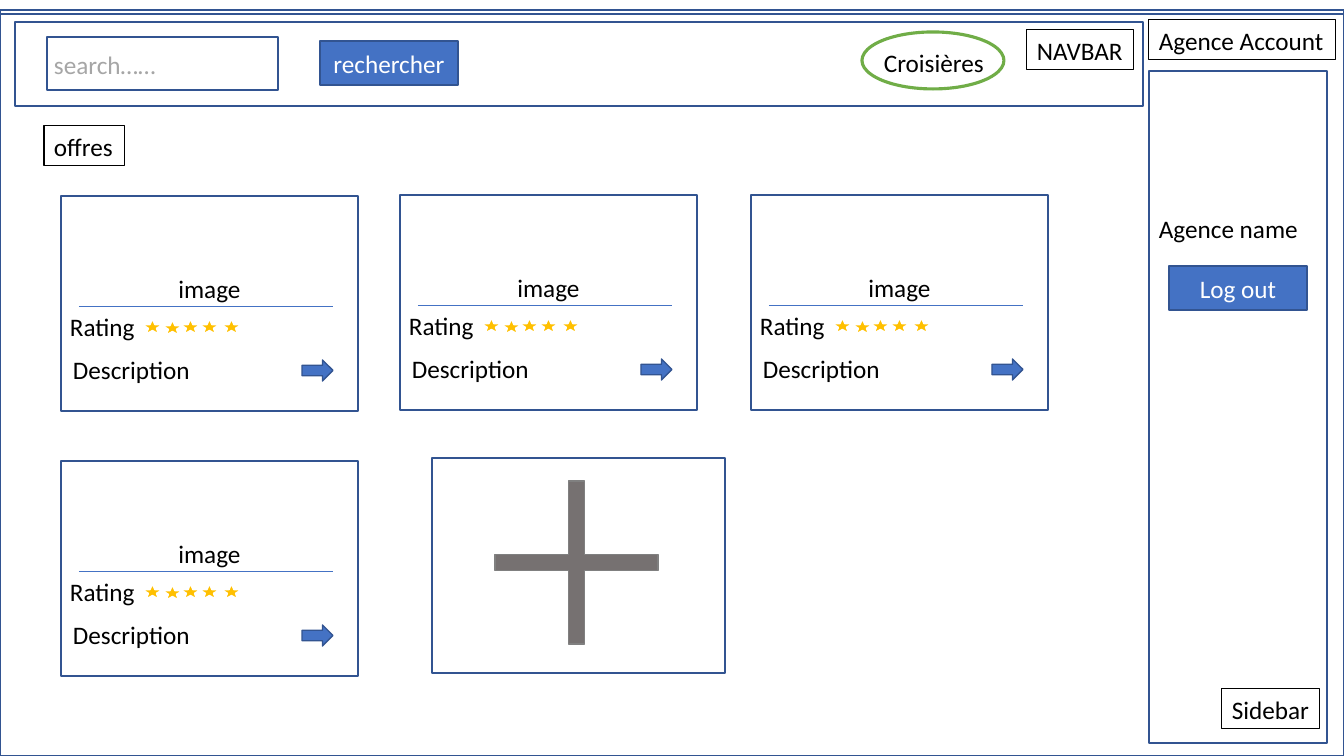
from dataclasses import dataclass

from lxml import etree
from pptx import Presentation
from pptx.dml.color import RGBColor
from pptx.enum.shapes import MSO_CONNECTOR, MSO_SHAPE as Geo
from pptx.enum.text import MSO_ANCHOR as Anchor, MSO_AUTO_SIZE as Fit, PP_ALIGN as Align
from pptx.oxml.ns import qn
from pptx.util import Emu, Pt

PX = 914400 / 100.8


@dataclass(frozen=True)
class Theme:
    font: str = "Calibri"
    size: float = 18
    black: str = "000000"
    white: str = "FFFFFF"
    hint: str = "A6A6A6"
    blue: str = "4472C4"
    edge: str = "325491"
    green: str = "70AD47"
    gold: str = "FFC000"
    plus: str = "767171"
    plus_edge: str = "808080"


theme = Theme()
rgb = RGBColor.from_string

# Text formats
LABEL = dict(word_wrap=False, auto_size=Fit.SHAPE_TO_FIT_TEXT, vertical_anchor=Anchor.TOP)
FIELD = LABEL | dict(word_wrap=True)
CENTRED = dict(word_wrap=True, vertical_anchor=Anchor.MIDDLE)
RAISED = CENTRED | dict(margin_bottom=Emu(round(36 * PX)))


def add_text(sp, text, fmt, color=theme.black):
    tf = sp.text_frame
    for name, value in fmt.items():
        setattr(tf, name, value)
    p = tf.paragraphs[0]
    p.alignment = Align.CENTER if fmt["vertical_anchor"] == Anchor.MIDDLE else Align.LEFT
    r = p.add_run()
    r.text = text
    for name, value in dict(name=theme.font, size=Pt(theme.size)).items():
        setattr(r.font, name, value)
    r.font.color.rgb = rgb(color)


def add_box(shapes, geo, box, fill=None, line=None, width=1):
    at = [Emu(round(v * PX)) for v in box]
    if geo is None:
        return shapes.add_textbox(*at)
    sp = shapes.add_shape(geo, *at)
    sp.shadow.inherit = False
    if fill:
        sp.fill.solid()
        sp.fill.fore_color.rgb = rgb(fill)
    else:
        sp.fill.background()
    sp.line.color.rgb = rgb(line or theme.edge)
    sp.line.width = Pt(width)
    return sp


prs = Presentation()
prs.slide_width, prs.slide_height = Emu(round(1344 * PX)), Emu(round(756 * PX))
slide = prs.slides.add_slide(prs.slide_layouts[6])
shapes = slide.shapes

# Page frames, navbar, sidebar and search field
for box in [(0, 10, 1344, 746), (0, 14, 1344, 746), (15, 22, 1128, 84),
            (1149, 71, 178, 672), (47, 37, 231, 53)]:
    add_box(shapes, Geo.RECTANGLE, box)

# Buttons
for text, x, y in [("rechercher", 320, 41), ("Log out", 1169, 266)]:
    sp = add_box(shapes, Geo.RECTANGLE, (x, y, 138, 44), theme.blue)
    add_text(sp, text, CENTRED, theme.white)

# Framed labels
for text, x, y, w in [("NAVBAR", 1027, 30, 107), ("Agence Account", 1149, 20, 187),
                      ("Sidebar", 1222, 689, 98), ("offres", 44, 126, 81)]:
    sp = add_box(shapes, Geo.RECTANGLE, (x, y, w, 40), None, theme.black, 0.75)
    add_text(sp, text, LABEL)

# Category oval and plain labels
add_box(shapes, Geo.OVAL, (862, 32, 142, 57), None, theme.green, 2.25)
for text, x, y, w, color in [("Croisières", 874, 42, 121, theme.black),
                             ("search……", 44, 44, 123, theme.hint),
                             ("Agence name", 1149, 208, 161, theme.black)]:
    add_text(add_box(shapes, None, (x, y, w, 40)), text, LABEL, color)

# Offer cards
for x, y in [(61, 196), (400, 195), (751, 195), (61, 461)]:
    card = shapes.add_group_shape().shapes
    sp = add_box(card, Geo.RECTANGLE, (x, y, 297, 215), theme.white)
    add_text(sp, "image", RAISED)

    ends = [Emu(round(v * PX)) for v in (x + 18, y + 110, x + 272, y + 110)]
    rule = card.add_connector(MSO_CONNECTOR.STRAIGHT, *ends)
    rule.line.color.rgb = rgb(theme.blue)
    rule.line.width = Pt(0.5)
    etree.SubElement(rule._element.spPr, qn("a:effectLst"))

    for text, dx, dy, w in [("Rating", -1, 110, 92), ("Description", 2, 153, 140)]:
        add_text(add_box(card, None, (x + dx, y + dy, w, 40)), text, FIELD)
    for dx, dy in [(80, 122), (100, 123), (118, 122), (137, 122), (159, 122)]:
        add_box(card, Geo.STAR_5_POINT, (x + dx, y + dy, 23, 17), theme.gold, theme.white, 1.5)
    add_box(card, Geo.RIGHT_ARROW, (x + 241, y + 164, 31, 21), theme.blue)

# Add-offer card
add_box(shapes, Geo.RECTANGLE, (432, 458, 293, 215), theme.white)
plus = add_box(shapes, Geo.CROSS, (495, 481, 163, 163), theme.plus, theme.plus_edge)
plus.adjustments[0] = 0.45

prs.save("out.pptx")
